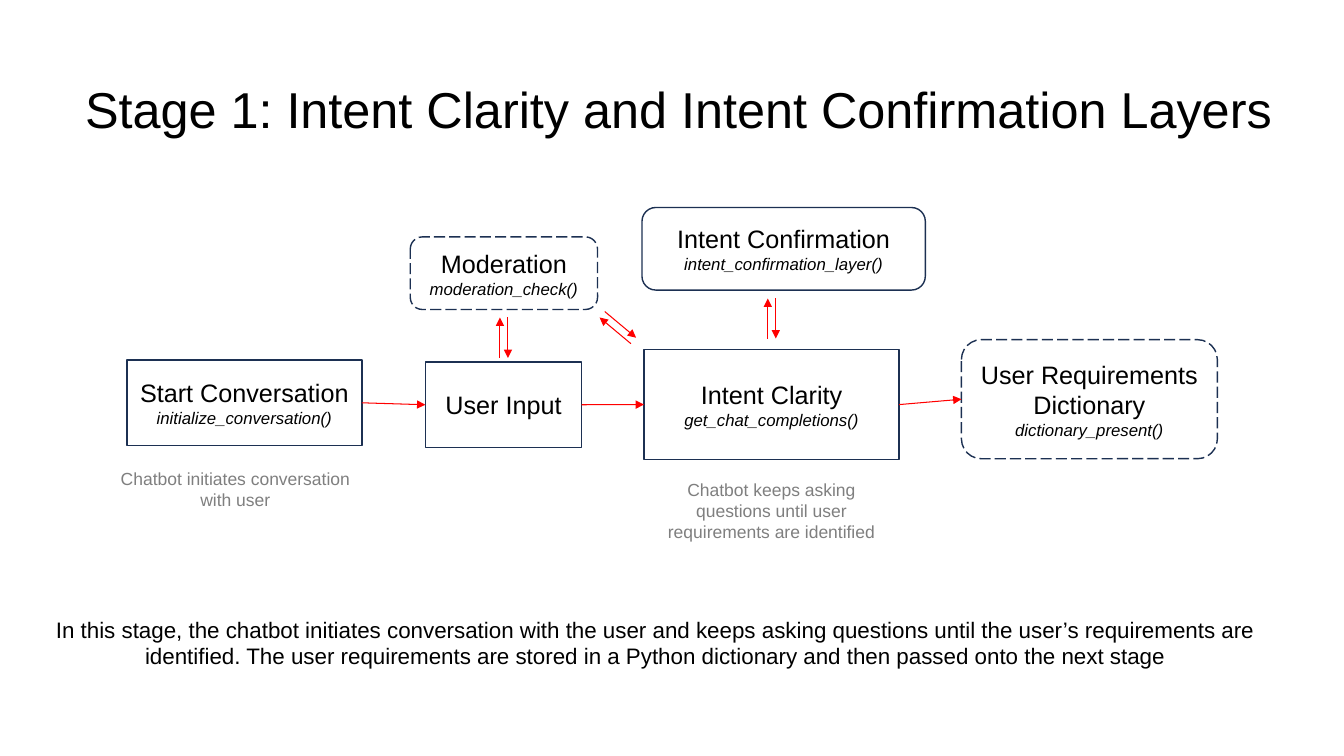
from lxml.etree import SubElement
from pptx import Presentation
from pptx.dml.color import RGBColor
from pptx.enum.dml import MSO_LINE as Dash
from pptx.enum.shapes import MSO_CONNECTOR as Conn, MSO_SHAPE as Form
from pptx.enum.text import MSO_ANCHOR as Anchor, PP_ALIGN as Align
from pptx.oxml.ns import qn
from pptx.util import Cm, Pt

BLACK = RGBColor(0, 0, 0)
GREY = RGBColor(0x7F, 0x7F, 0x7F)
NAVY = RGBColor(0x1C, 0x30, 0x52)
RED = RGBColor(0xFF, 0, 0)

deck = Presentation()
deck.slide_width, deck.slide_height = Cm(33.87), Cm(19.05)
slide = deck.slides.add_slide(deck.slide_layouts[6])
shapes = slide.shapes


def write(shape, lines, anchor, color=BLACK):
    """Fill a shape with centred lines of (text, size, italic)."""
    frame = shape.text_frame
    frame.word_wrap = True
    frame.vertical_anchor = anchor
    for i, (text, size, slant) in enumerate(lines):
        para = frame.paragraphs[0] if i == 0 else frame.add_paragraph()
        para.alignment = Align.CENTER
        run = para.add_run()
        run.text = text
        style = {"name": "Arial", "size": Pt(size), "italic": slant}
        for key, value in style.items():
            setattr(run.font, key, value)
        run.font.color.rgb = color


def arrow(x1, y1, x2, y2):
    """Draw a thin red arrow, with lengths in centimetres."""
    link = shapes.add_connector(Conn.STRAIGHT, Cm(x1), Cm(y1), Cm(x2), Cm(y2))
    link.line.color.rgb = RED
    link.line.width = Pt(0.75)
    SubElement(link.line._get_or_add_ln(), qn("a:tailEnd"), type="triangle")
    SubElement(link._element.spPr, qn("a:effectLst"))
    return link


# Title, captions and summary
texts = [
    ("Stage 1: Intent Clarity and Intent Confirmation Layers",
     (0.18, 0.99, 33.86, 3.68), 36, BLACK, Anchor.MIDDLE),
    ("Chatbot initiates conversation with user",
     (2.74, 11.66, 6.38, 1.32), 12.5, GREY, Anchor.TOP),
    ("Chatbot keeps asking questions until user requirements are identified",
     (16.38, 11.94, 6.12, 1.88), 12.5, GREY, Anchor.TOP),
    ("In this stage, the chatbot initiates conversation with the user and "
     "keeps asking questions until the user’s requirements are identified. "
     "The user requirements are stored in a Python dictionary and then "
     "passed onto the next stage",
     (0.82, 15.39, 31.39, 1.63), 16, BLACK, Anchor.TOP),
]
for text, place, size, color, anchor in texts:
    label = shapes.add_textbox(*map(Cm, place))
    write(label, [(text, size, False)], anchor, color)
    if size == 36:
        label.text_frame.paragraphs[0].line_spacing = 0.9

# Boxes: the first four form the main flow
RECT, ROUND = Form.RECTANGLE, Form.ROUNDED_RECTANGLE
SOLID, LONG = Dash.SOLID, Dash.LONG_DASH
steps = [
    ("Start Conversation", "initialize_conversation()",
     (3.2, 9.07, 5.92, 2.16), RECT, SOLID),
    ("User Input", None, (10.72, 9.12, 3.94, 2.16), RECT, SOLID),
    ("Intent Clarity", "get_chat_completions()",
     (16.23, 8.81, 6.43, 2.77), RECT, SOLID),
    ("User Requirements Dictionary", "dictionary_present()",
     (24.23, 8.56, 6.45, 3), ROUND, LONG),
    ("Moderation", "moderation_check()",
     (10.34, 5.97, 4.72, 1.83), ROUND, LONG),
    ("Intent Confirmation", "intent_confirmation_layer()",
     (16.18, 5.23, 7.14, 2.08), ROUND, SOLID),
]
boxes = []
for name, call, place, form, dash in steps:
    box = shapes.add_shape(form, *map(Cm, place))
    box.shadow.inherit = False
    box.fill.background()
    box.line.color.rgb = NAVY
    for key, value in {"width": Pt(1), "dash_style": dash}.items():
        setattr(box.line, key, value)
    lines = [(name, 18, False)]
    if call:
        lines.append((call, 12, True))
    write(box, lines, Anchor.MIDDLE)
    boxes.append(box)

# Main flow, from right side to left side
flow = boxes[:4]
for prior, after in zip(flow, flow[1:]):
    link = arrow(0, 0, 1, 1)
    link.begin_connect(prior, 3)
    link.end_connect(after, 1)

# Two-way pairs: one arrow, then its reverse shifted by (dx, dy)
pairs = [
    (12.6, 9.02, 12.6, 8, 0.2, 0),
    (15.9, 8.66, 15.11, 8, 0.13, -0.15),
    (19.35, 8.53, 19.35, 7.52, 0.2, 0),
]
for x1, y1, x2, y2, dx, dy in pairs:
    arrow(x1, y1, x2, y2)
    arrow(x2 + dx, y2 + dy, x1 + dx, y1 + dy)

deck.save("out.pptx")
